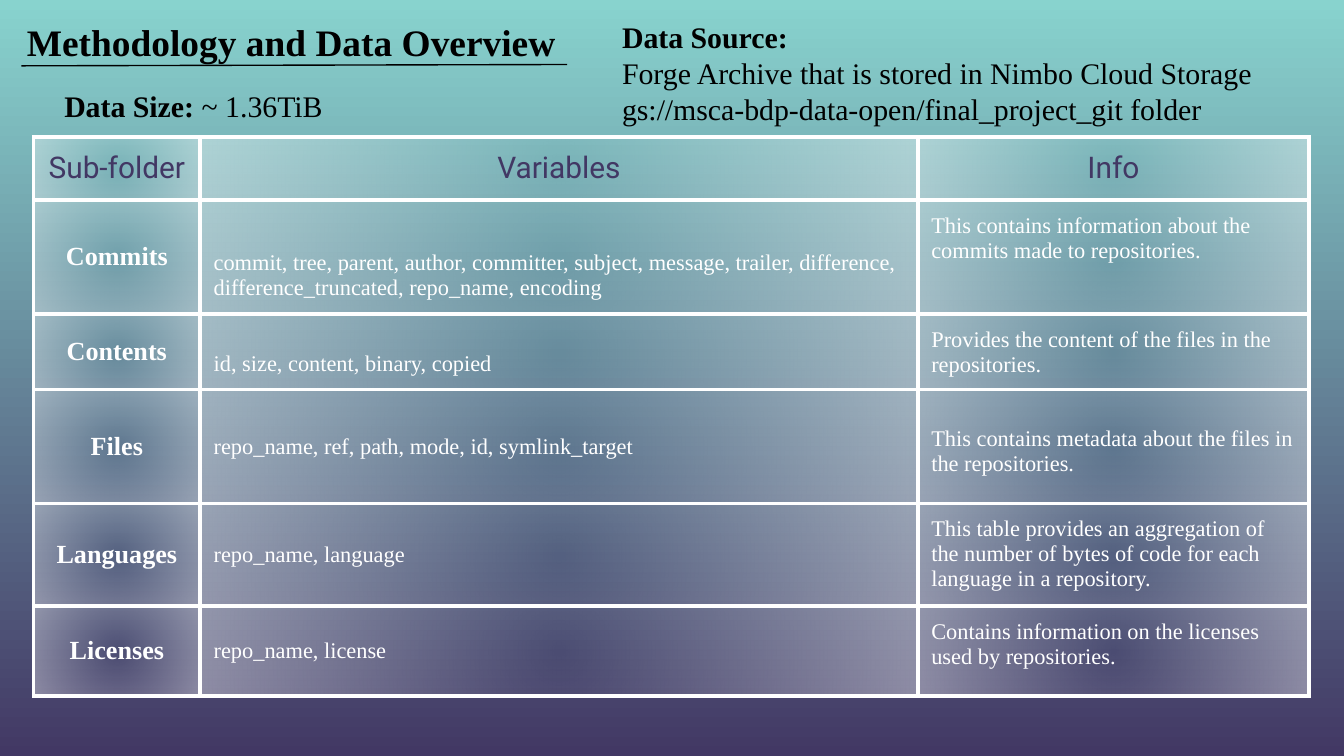
import pptx
import pptx.dml.color
import pptx.enum.shapes
import pptx.enum.text
import pptx.oxml
import pptx.oxml.ns
import pptx.util

Inches, Pt = pptx.util.Inches, pptx.util.Pt
RGBColor = pptx.dml.color.RGBColor
ANCHOR = pptx.enum.text.MSO_ANCHOR
ALIGN = pptx.enum.text.PP_ALIGN

TEAL = RGBColor(0x88, 0xD3, 0xCE)
PURPLE = RGBColor(0x42, 0x38, 0x64)
WHITE = RGBColor(0xFF, 0xFF, 0xFF)
BLACK = RGBColor(0x00, 0x00, 0x00)
SERIF = "Times New Roman"
NS = pptx.oxml.ns.nsdecls("a")


def add_run(paragraph, text, size, color, bold=False, font=SERIF):
    run = paragraph.add_run()
    run.text = text
    run.font.name = font
    run.font.size = Pt(size)
    run.font.bold = bold
    run.font.color.rgb = color


def style_cell(cell):
    """Give the cell white borders and a white glow that is clear in the centre."""
    properties = cell._tc.get_or_add_tcPr()
    for side in ("lnL", "lnR", "lnT", "lnB"):
        properties.append(pptx.oxml.parse_xml(
            f'<a:{side} {NS} w="{Pt(2.25)}"><a:solidFill><a:srgbClr val="{WHITE}"/>'
            f'</a:solidFill></a:{side}>'))
    properties.append(pptx.oxml.parse_xml(
        f'<a:gradFill {NS}><a:gsLst>'
        f'<a:gs pos="0"><a:srgbClr val="{WHITE}"><a:alpha val="0"/></a:srgbClr></a:gs>'
        f'<a:gs pos="100000"><a:srgbClr val="{WHITE}"><a:alpha val="39000"/></a:srgbClr></a:gs>'
        f'</a:gsLst><a:path path="circle">'
        f'<a:fillToRect l="50000" t="50000" r="50000" b="50000"/></a:path></a:gradFill>'))


presentation = pptx.Presentation()
presentation.slide_width = Inches(10)
presentation.slide_height = Inches(10 * 9 / 16)
slide = presentation.slides.add_slide(presentation.slide_layouts[5])

backdrop = slide.background.fill
backdrop.gradient()
backdrop.gradient_angle = 270
for position, (stop, color) in enumerate(zip(backdrop.gradient_stops, (TEAL, PURPLE))):
    stop.color.rgb = color
    stop.position = position

# Title and its underline
title = slide.shapes.title
title.left, title.top = Inches(0.1), Inches(0.04)
title.width, title.height = Inches(4.34), Inches(0.51)
heading = title.text_frame
heading.auto_size = pptx.enum.text.MSO_AUTO_SIZE.NONE
heading.vertical_anchor = ANCHOR.TOP
heading.margin_top = heading.margin_bottom = Inches(0.1)
heading.paragraphs[0].alignment = ALIGN.LEFT
add_run(heading.paragraphs[0], "Methodology and Data Overview", 20, BLACK, True)

underline = slide.shapes.add_connector(
    pptx.enum.shapes.MSO_CONNECTOR.STRAIGHT,
    Inches(0.16), Inches(0.49), Inches(4.22), Inches(0.48))
underline.line.color.rgb = BLACK
underline.line.width = Pt(0.75)
underline._element.spPr.append(pptx.oxml.parse_xml(f"<a:effectLst {NS}/>"))

# Facts about the data: box, then paragraphs of (text, bold) runs
facts = [
    ((4.53, 0.04, 5.22, 0.72), [
        [("Data Source:", True)],
        [("Forge Archive that is stored in Nimbo Cloud Storage", False)],
        [("gs://msca-bdp-data-open/final_project_git folder", False)],
    ]),
    ((0.38, 0.55, 2.38, 0.56), [[("Data Size: ", True), ("~ 1.36TiB", False)]]),
]
for box, paragraphs in facts:
    frame = slide.shapes.add_textbox(*map(Inches, box)).text_frame
    frame.word_wrap = True
    frame.margin_top = frame.margin_bottom = Inches(0.1)
    for index, runs in enumerate(paragraphs):
        paragraph = frame.add_paragraph() if index else frame.paragraphs[0]
        for text, bold in runs:
            add_run(paragraph, text, 16, BLACK, bold)

# Table of sub-folders
rows = [
    ("Sub-folder", "Variables", "Info"),
    ("Commits",
     "commit, tree, parent, author, committer, subject, message, trailer, difference, "
     "difference_truncated, repo_name, encoding",
     "This contains information about the commits made to repositories."),
    ("Contents", "id, size, content, binary, copied",
     "Provides the content of the files in the repositories."),
    ("Files", "repo_name, ref, path, mode, id, symlink_target",
     "This contains metadata about the files in the repositories."),
    ("Languages", "repo_name, language",
     "This table provides an aggregation of the number of bytes of code for each "
     "language in a repository."),
    ("Licenses", "repo_name, license",
     "Contains information on the licenses used by repositories."),
]
column_widths = (1.24, 5.34, 2.91)
row_heights = (0.38, 0.85, 0.54, 0.85, 0.73, 0.67)
folders = slide.shapes.add_table(
    len(rows), len(column_widths), Inches(0.25), Inches(1.02),
    Inches(sum(column_widths)), Inches(sum(row_heights))).table
folders.first_row = folders.horz_banding = False
for column, width in zip(folders.columns, column_widths):
    column.width = Inches(width)

for r, (texts, height) in enumerate(zip(rows, row_heights)):
    folders.rows[r].height = Inches(height)
    for c, text in enumerate(texts):
        cell = folders.cell(r, c)
        style_cell(cell)
        cell.margin_left = cell.margin_right = Inches(0.1)
        cell.margin_top = cell.margin_bottom = Inches(0.1)
        cell.vertical_anchor = ANCHOR.MIDDLE
        paragraph = cell.text_frame.paragraphs[0]
        if r == 0:
            paragraph.alignment = ALIGN.CENTER
            add_run(paragraph, text, 16, PURPLE, font="Roboto")
        elif c == 0:
            paragraph.alignment = ALIGN.CENTER
            add_run(paragraph, text, 14, WHITE, True)
        else:
            add_run(paragraph, text, 12, WHITE)
            if c == 1:
                paragraph.space_before = paragraph.space_after = Pt(12)
                if texts[0] in ("Commits", "Contents"):
                    cell.vertical_anchor = ANCHOR.BOTTOM
            else:
                cell.vertical_anchor = ANCHOR.TOP
                cell.margin_bottom = Inches(0.06)
                if texts[0] == "Files":
                    cell.margin_top = Inches(0.28)

presentation.save("out.pptx")
